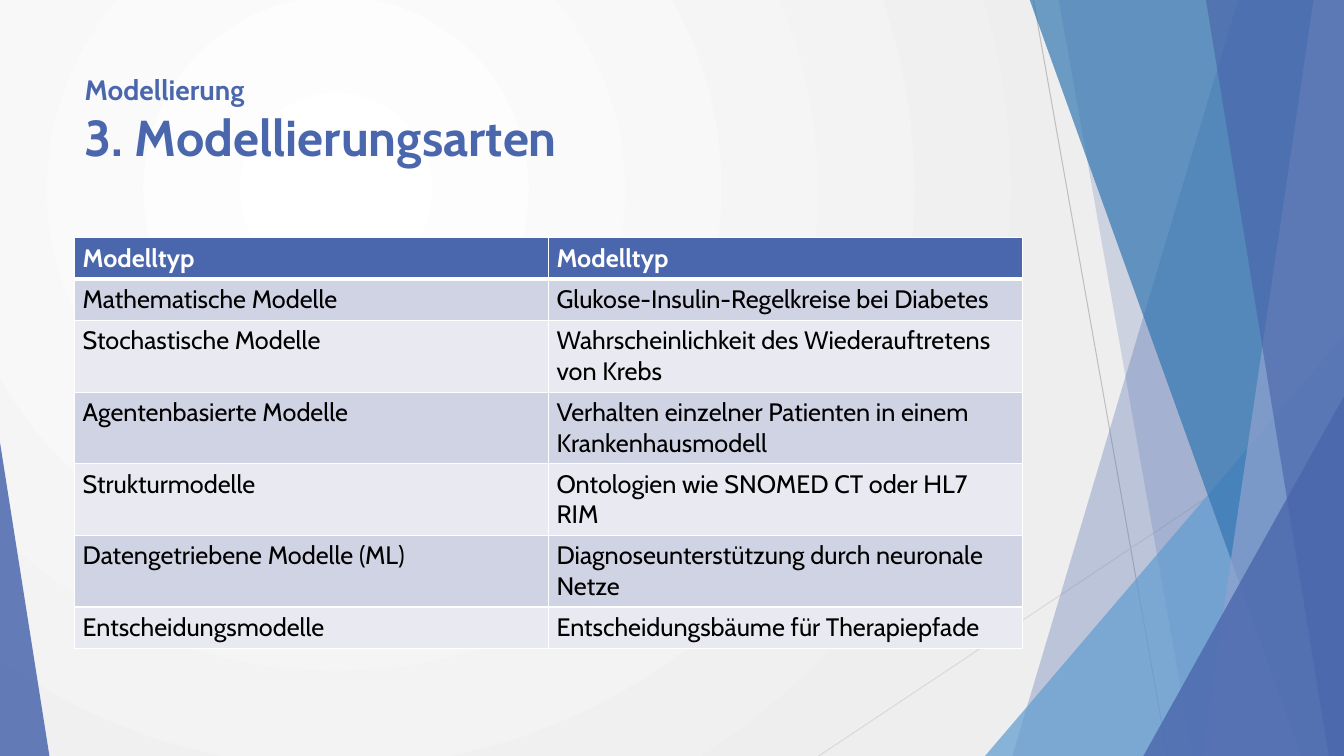
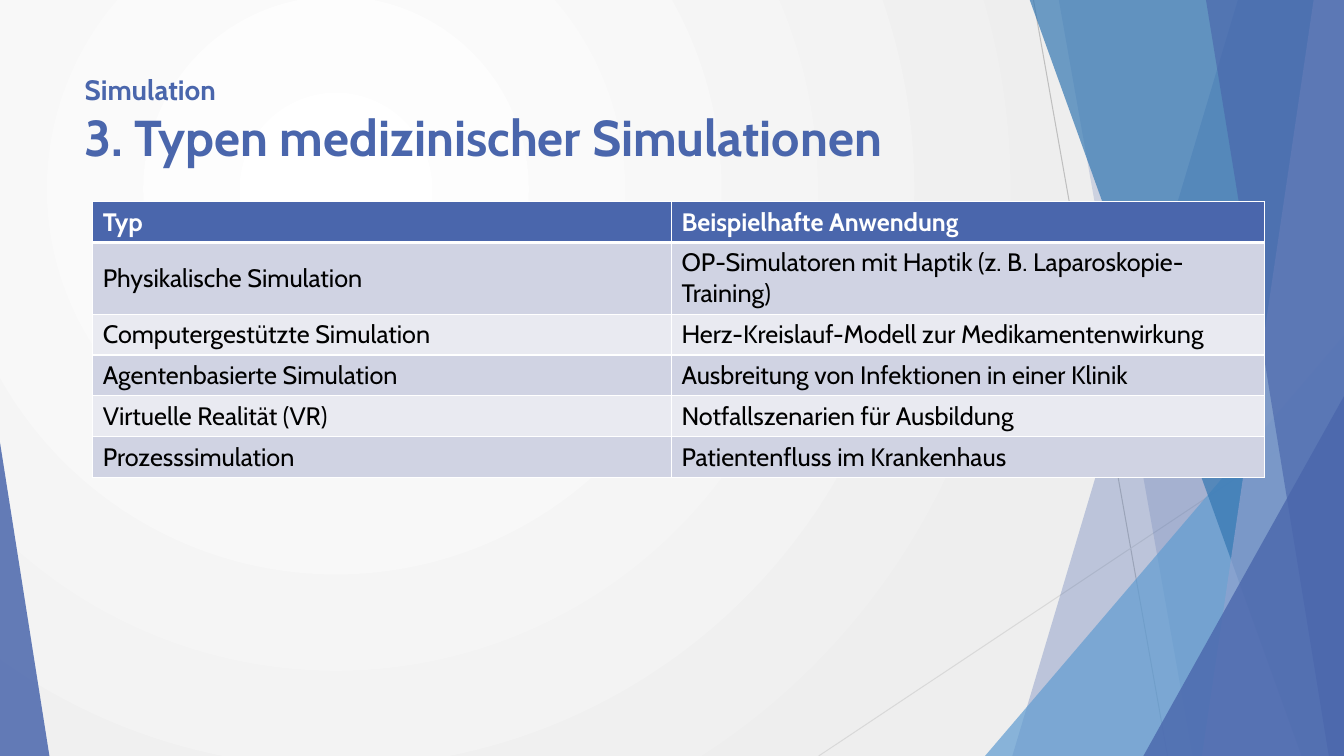
from dataclasses import dataclass

from lxml import etree
from pptx import Presentation
from pptx.dml.color import RGBColor
from pptx.enum import shapes, text
from pptx.oxml.ns import qn
from pptx.slide import Slide, SlideLayout
from pptx.table import Table
from pptx.util import Inches, Pt

FONT = "Cabin"
BLUE = "4A66AC"
WHITE = "FFFFFF"
BLACK = "000000"
BODY_FILLS = ("E9EAF1", "D0D3E3")
WIDTH, HEIGHT = 13.33, 7.5
BAND_TOP = -0.01


@dataclass(frozen=True)
class Ray:
    start: tuple[float, float]
    end: tuple[float, float]
    color: str


@dataclass(frozen=True)
class Band:
    top_x: float
    bottom_x: float
    color: str
    opacity: int


@dataclass(frozen=True)
class Corner:
    left: float
    top: float
    width: float
    apex: float
    color: str
    opacity: int


@dataclass(frozen=True)
class Topic:
    chapter: str
    heading: str
    left: float
    top: float
    columns: tuple[float, float]
    row_height: float
    side_margin: float
    rows: tuple[tuple[str, str], ...]


BACKDROP = (
    Ray((10.25, 0), (11.58, HEIGHT), "BFBFBF"),
    Ray((WIDTH, 4.03), (8.12, HEIGHT), "D9D9D9"),
    Band(12.28, 10.04, BLUE, 30),
    Band(10.5, 11.83, BLUE, 20),
    Corner(9.77, 3.33, 3.56, 1, "629DD1", 72),
    Band(10.21, 12.91, "3477B2", 70),
    Band(13.03, 11.92, "90A2CF", 70),
    Band(11.96, 13.18, BLUE, 65),
    Corner(11.34, 3.93, 1.99, 1, BLUE, 80),
    Corner(0, 4.39, 0.49, 0, BLUE, 85),
)

TOPICS = (
    Topic(
        "Modellierung", "3. Modellierungsarten",
        0.74, 2.36, (4.7, 4.7), 0.41, 0.08,
        (
            ("Modelltyp", "Modelltyp"),
            ("Mathematische Modelle", "Glukose-Insulin-Regelkreise bei Diabetes"),
            ("Stochastische Modelle", "Wahrscheinlichkeit des Wiederauftretens von Krebs"),
            ("Agentenbasierte Modelle", "Verhalten einzelner Patienten in einem Krankenhausmodell"),
            ("Strukturmodelle", "Ontologien wie SNOMED CT oder HL7 RIM"),
            ("Datengetriebene Modelle (ML)", "Diagnoseunterstützung durch neuronale Netze"),
            ("Entscheidungsmodelle", "Entscheidungsbäume für Therapiepfade"),
        ),
    ),
    Topic(
        "Simulation", "3. Typen medizinischer Simulationen",
        0.92, 2, (5.74, 5.88), 0.37, 0.1,
        (
            ("Typ", "Beispielhafte Anwendung"),
            ("Physikalische Simulation", "OP-Simulatoren mit Haptik (z. B. Laparoskopie-Training)"),
            ("Computergestützte Simulation", "Herz-Kreislauf-Modell zur Medikamentenwirkung"),
            ("Agentenbasierte Simulation", "Ausbreitung von Infektionen in einer Klinik"),
            ("Virtuelle Realität (VR)", "Notfallszenarien für Ausbildung"),
            ("Prozesssimulation", "Patientenfluss im Krankenhaus"),
        ),
    ),
)


def rgb(color: str) -> RGBColor:
    return RGBColor.from_string(color)


def draw_ray(slide: Slide, ray: Ray) -> None:
    line = slide.shapes.add_connector(
        shapes.MSO_CONNECTOR.STRAIGHT, *map(Inches, ray.start + ray.end)
    )
    line.line.color.rgb = rgb(ray.color)
    line.line.width = Pt(0.75)
    etree.SubElement(line.element.spPr, qn("a:effectLst"))


def draw_pane(slide: Slide, pane: Band | Corner) -> None:
    if isinstance(pane, Band):
        outline = slide.shapes.build_freeform(Inches(pane.top_x), Inches(BAND_TOP))
        outline.add_line_segments(
            [
                (Inches(x), Inches(y))
                for x, y in ((WIDTH, BAND_TOP), (WIDTH, HEIGHT), (pane.bottom_x, HEIGHT))
            ]
        )
        glass = outline.convert_to_shape()
    else:
        glass = slide.shapes.add_shape(
            shapes.MSO_SHAPE.ISOSCELES_TRIANGLE,
            *map(Inches, (pane.left, pane.top, pane.width, HEIGHT - pane.top)),
        )
        glass.adjustments[0] = pane.apex
    glass.shadow.inherit = False
    glass.line.fill.background()
    glass.fill.solid()
    glass.fill.fore_color.rgb = rgb(pane.color)
    tint = glass.element.spPr.find(f"{qn('a:solidFill')}/{qn('a:srgbClr')}")
    etree.SubElement(tint, qn("a:alpha"), val=str(pane.opacity * 1000))


def style_layout(layout: SlideLayout) -> None:
    backdrop = layout.background.fill
    backdrop.gradient()
    for stop, color in zip(backdrop.gradient_stops, (WHITE, "EEEEEE")):
        stop.color.rgb = rgb(color)
    gradient = layout.element.find(f".//{qn('a:gradFill')}")
    gradient.remove(gradient.find(qn("a:lin")))
    circle = etree.SubElement(gradient, qn("a:path"), path="circle")
    etree.SubElement(
        circle, qn("a:fillToRect"), l="50000", t="50000", r="100000", b="100000"
    )
    for placeholder in list(layout.placeholders):
        if placeholder.placeholder_format.type == shapes.PP_PLACEHOLDER.TITLE:
            placeholder.left, placeholder.top = Inches(0.74), Inches(0.67)
            placeholder.width, placeholder.height = Inches(9.4), Inches(1.44)
        else:
            layout.shapes.element.remove(placeholder.element)


def draw_backdrop(slide: Slide, layout: SlideLayout) -> None:
    settled = len(slide.shapes)
    for part in BACKDROP:
        if isinstance(part, Ray):
            draw_ray(slide, part)
        else:
            draw_pane(slide, part)
    for shape in list(slide.shapes)[settled:]:
        layout.shapes.element.append(shape.element)


def write_title(slide: Slide, topic: Topic) -> None:
    frame = slide.shapes.title.text_frame
    frame.vertical_anchor = text.MSO_ANCHOR.TOP
    frame.auto_size = text.MSO_AUTO_SIZE.NONE
    line = frame.paragraphs[0]
    line.alignment = text.PP_ALIGN.LEFT
    line.font.name = FONT
    line.font.bold = True
    line.font.size = Pt(20)
    line.font.color.rgb = rgb(BLUE)
    line.add_run().text = topic.chapter
    line.add_line_break()
    heading = line.add_run()
    heading.text = topic.heading
    heading.font.size = Pt(36)


def border_cells(table: Table) -> None:
    for row_index, row in enumerate(table.rows):
        for cell in row.cells:
            properties = cell._tc.get_or_add_tcPr()
            for position, side in enumerate(("lnL", "lnR", "lnT", "lnB")):
                heavy = (row_index, side) in ((0, "lnB"), (1, "lnT"))
                edge = etree.Element(qn(f"a:{side}"), w=str(Pt(3 if heavy else 1)))
                paint = etree.SubElement(edge, qn("a:solidFill"))
                etree.SubElement(paint, qn("a:srgbClr"), val=WHITE)
                properties.insert(position, edge)


def draw_table(slide: Slide, topic: Topic) -> None:
    count = len(topic.rows)
    table = slide.shapes.add_table(
        count, len(topic.columns),
        Inches(topic.left), Inches(topic.top),
        Inches(sum(topic.columns)), Inches(topic.row_height * count),
    ).table
    for column, width in zip(table.columns, topic.columns):
        column.width = Inches(width)
    for row_index, (row, entries) in enumerate(zip(table.rows, topic.rows)):
        row.height = Inches(topic.row_height)
        header = row_index == 0
        for cell, entry in zip(row.cells, entries):
            cell.text = entry
            cell.margin_left = cell.margin_right = Inches(topic.side_margin)
            cell.vertical_anchor = (
                text.MSO_ANCHOR.MIDDLE if row_index < 2 else text.MSO_ANCHOR.TOP
            )
            cell.fill.solid()
            cell.fill.fore_color.rgb = rgb(BLUE if header else BODY_FILLS[row_index % 2])
            font = cell.text_frame.paragraphs[0].font
            font.name = FONT
            font.size = Pt(18)
            font.bold = header
            font.color.rgb = rgb(WHITE if header else BLACK)
    border_cells(table)


def main() -> None:
    deck = Presentation()
    deck.slide_width, deck.slide_height = Inches(WIDTH), Inches(HEIGHT)
    layout = deck.slide_layouts[5]
    style_layout(layout)
    for index, topic in enumerate(TOPICS):
        slide = deck.slides.add_slide(layout)
        if index == 0:
            draw_backdrop(slide, layout)
        write_title(slide, topic)
        draw_table(slide, topic)
    deck.save("out.pptx")


if __name__ == "__main__":
    main()
